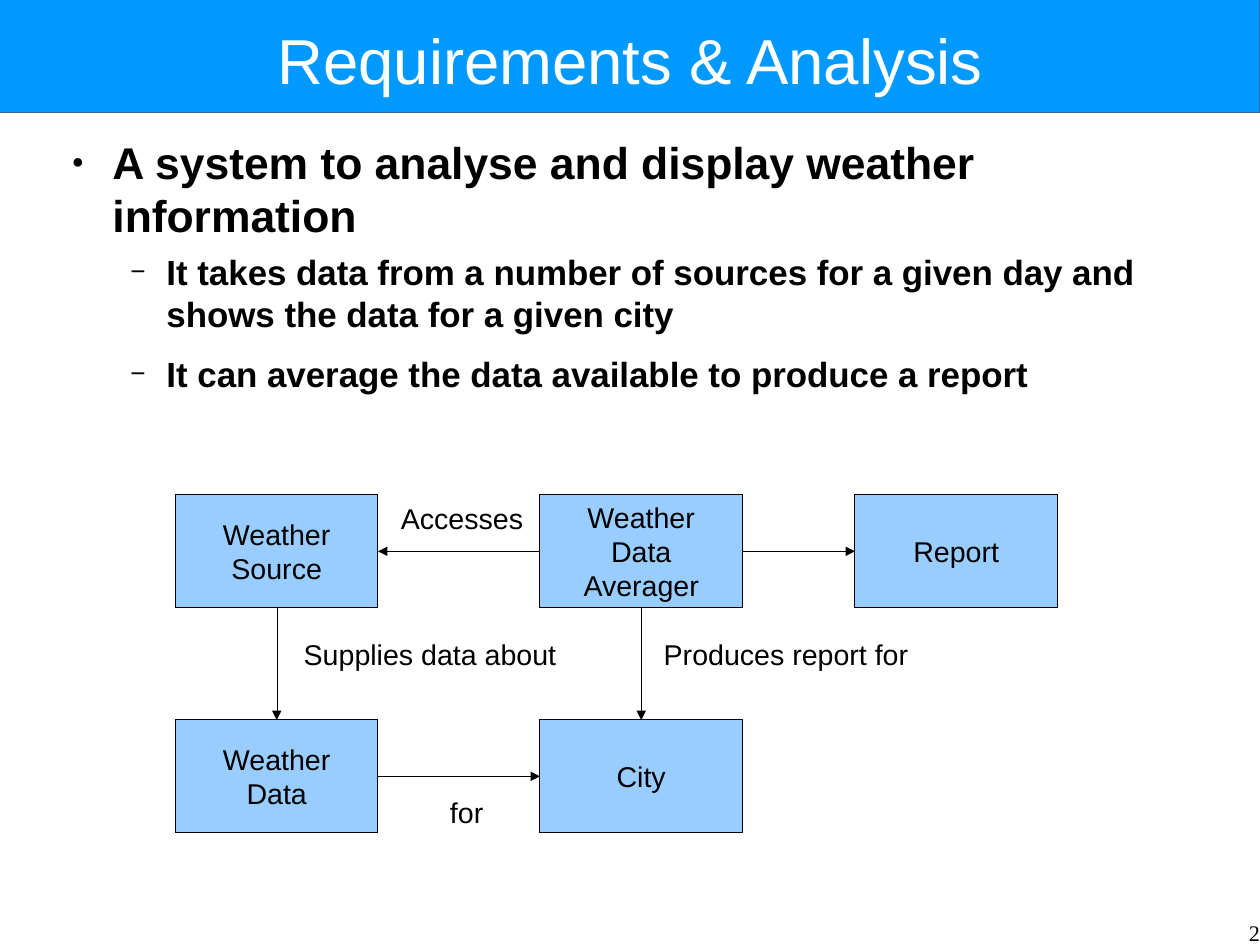
from lxml import etree
from pptx import Presentation
from pptx import util as u
from pptx.dml.color import RGBColor
from pptx.enum import shapes, text
from pptx.oxml.ns import qn

COLORS = {"banner": "0099FF", "banner_edge": "3465A4", "box": "99CCFF",
          "ink": "000000", "title": "FFFFFF"}
Cm, Pt = u.Cm, u.Pt
HAIRLINE = u.Emu(1)  # a width of 0 would fall back to the theme's width


def write(paragraph, words, size, color="ink", font="Arial", align=None):
    paragraph.text = words
    paragraph.alignment = align
    paragraph.font.size = Pt(size)
    paragraph.font.name = font
    paragraph.font.color.rgb = RGBColor.from_string(COLORS[color])


def add_frame(left, top, width, height, margins=True):
    frame = slide.shapes.add_textbox(Cm(left), Cm(top), Cm(width), Cm(height)).text_frame
    frame.word_wrap = not margins
    if not margins:
        frame.margin_left = frame.margin_right = frame.margin_top = frame.margin_bottom = 0
    return frame


prs = Presentation()
prs.slide_width, prs.slide_height = Cm(28), Cm(21)
slide = prs.slides.add_slide(prs.slide_layouts[6])

# Title banner
banner = slide.shapes.add_shape(shapes.MSO_SHAPE.RECTANGLE, 0, 0, Cm(28), Cm(2.5))
banner.shadow.inherit = False
banner.fill.solid()
banner.fill.fore_color.rgb = RGBColor.from_string(COLORS["banner"])
banner.line.color.rgb = RGBColor.from_string(COLORS["banner_edge"])
banner.line.width = HAIRLINE
title = add_frame(1.4, 0.23, 25.2, 2.16, margins=False)
title.vertical_anchor = text.MSO_ANCHOR.MIDDLE
write(title.paragraphs[0], "Requirements & Analysis", 40, "title",
      align=text.PP_ALIGN.CENTER)

# Bulleted requirements: level, wording
requirements = [
    (0, "A system to analyse and display weather information"),
    (1, "It takes data from a number of sources for a given day and shows the data for a given city"),
    (1, "It can average the data available to produce a report"),
]
# Per level: size, space after, indent, hanging, bullet, bullet size in %
levels = [(28, 5.8, 1.2, 0.9, "●", 45), (22, 11.3, 2.4, 0.8, "−", 75)]
body = add_frame(1.3, 3, 25.2, 17.25, margins=False)
for i, (level, words) in enumerate(requirements):
    size, after, indent, hanging, bullet, percent = levels[level]
    item = body.add_paragraph() if i else body.paragraphs[0]
    item.level = level
    item.space_after = Pt(after)
    props = item._p.get_or_add_pPr()
    props.set("marL", str(Cm(indent)))
    props.set("indent", str(-Cm(hanging)))
    etree.SubElement(props, qn("a:buSzPct"), val=str(percent * 1000))
    etree.SubElement(props, qn("a:buFont"), typeface="Arial")
    etree.SubElement(props, qn("a:buChar"), char=bullet)
    write(item, words, size)
    item.font.bold = True

# Class boxes on a grid
columns, rows = [3.9, 12, 19], [11, 16]
classes = {
    "source": (0, 0, ["Weather", "Source"]),
    "averager": (1, 0, ["Weather", "Data Averager"]),
    "report": (2, 0, ["Report"]),
    "data": (0, 1, ["Weather", "Data"]),
    "city": (1, 1, ["City"]),
}
boxes = {}
for key, (column, row, lines) in classes.items():
    box = slide.shapes.add_shape(shapes.MSO_SHAPE.RECTANGLE, Cm(columns[column]),
                                 Cm(rows[row]), Cm(4.5), Cm(2.5))
    box.shadow.inherit = False
    box.fill.solid()
    box.fill.fore_color.rgb = RGBColor.from_string(COLORS["box"])
    box.line.color.rgb = RGBColor.from_string(COLORS["ink"])
    box.line.width = HAIRLINE
    frame = box.text_frame
    frame.vertical_anchor = text.MSO_ANCHOR.MIDDLE
    for i, words in enumerate(lines):
        line = frame.add_paragraph() if i else frame.paragraphs[0]
        write(line, words, 18, align=text.PP_ALIGN.CENTER)
    boxes[key] = box

# Associations: from, side, to, side (0 top, 1 left, 2 bottom, 3 right)
associations = [
    ("source", 2, "data", 0),
    ("data", 3, "city", 1),
    ("averager", 2, "city", 0),
    ("averager", 1, "source", 3),
    ("averager", 3, "report", 1),
]
for start, start_side, end, end_side in associations:
    arrow = slide.shapes.add_connector(shapes.MSO_CONNECTOR.STRAIGHT, 0, 0, 0, 0)
    arrow.begin_connect(boxes[start], start_side)
    arrow.end_connect(boxes[end], end_side)
    arrow.line.color.rgb = RGBColor.from_string(COLORS["ink"])
    arrow.line.width = HAIRLINE
    etree.SubElement(arrow._element.spPr.find(qn("a:ln")), qn("a:tailEnd"), type="triangle")
    etree.SubElement(arrow._element.spPr, qn("a:effectLst"))

# Association labels: wording, left, top, width
labels = [
    ("Supplies data about", 6.5, 14.03, 6.3),
    ("for", 9.75, 17.53, 1.6),
    ("Accesses", 8.66, 11, 3.3),
    ("Produces report for", 14.5, 14.03, 6.1),
]
for words, left, top, width in labels:
    write(add_frame(left, top, width, 0.97).paragraphs[0], words, 18)

# Page number
page = add_frame(21.47, 20.42, 6.53, 0.58, margins=False)
write(page.paragraphs[0], "2", 14, font="Times New Roman", align=text.PP_ALIGN.RIGHT)

prs.save("out.pptx")
